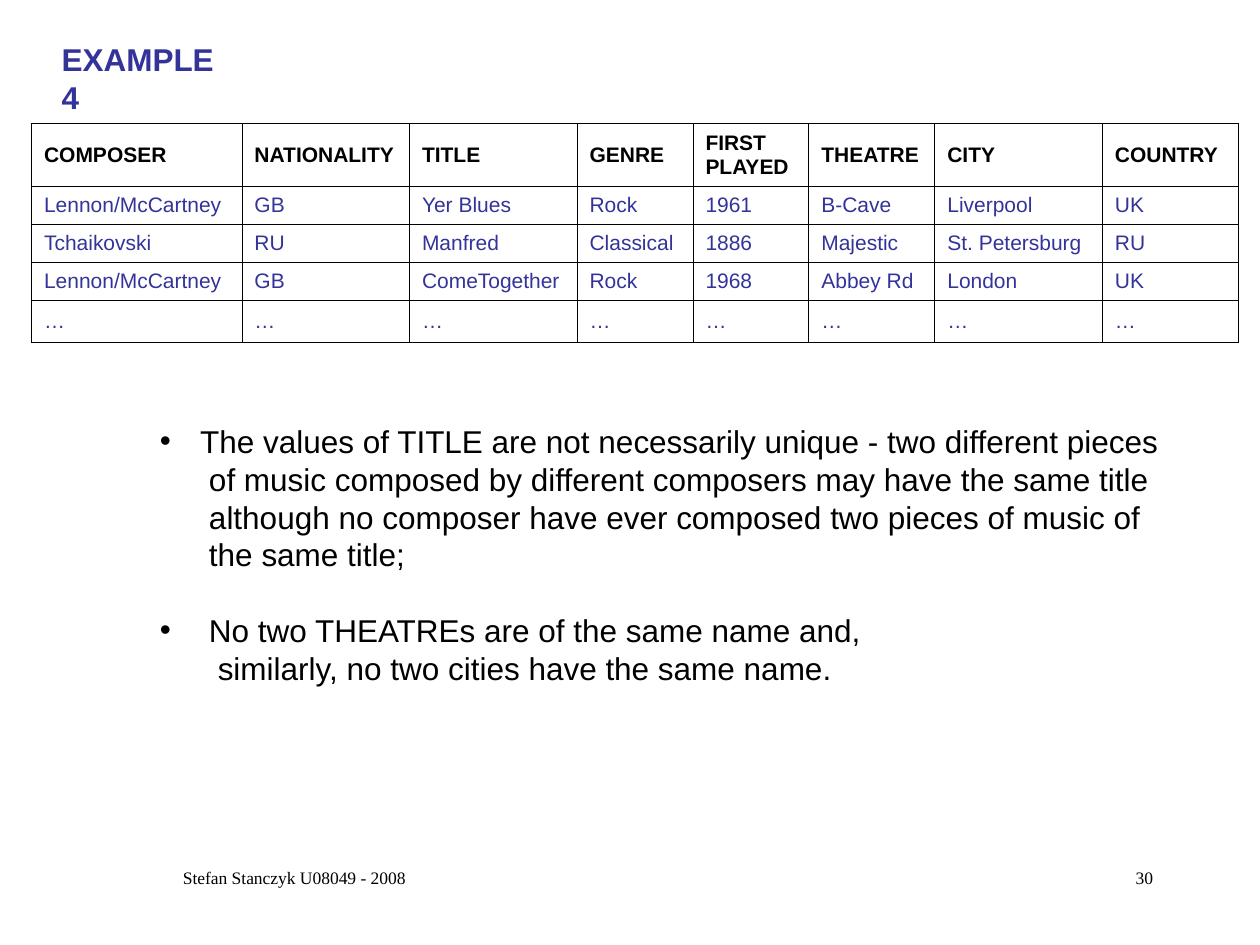
from pptx import Presentation
from pptx.dml.color import RGBColor
from pptx.enum.text import MSO_ANCHOR, PP_ALIGN
from pptx.oxml import parse_xml
from pptx.oxml.ns import nsdecls
from pptx.util import Inches, Pt

COLORS = {"ink": "000000", "accent": "333399", "paper": "FFFFFF"}
COLUMN_WIDTHS = [1.67, 1.33, 1.33, 0.92, 0.92, 1, 1.33, 1.08]
ROW_HEIGHTS = [0.5, 0.3, 0.3, 0.3, 0.34]
PERFORMANCES = [
    ["COMPOSER", "NATIONALITY", "TITLE", "GENRE", "FIRST PLAYED", "THEATRE", "CITY", "COUNTRY"],
    ["Lennon/McCartney", "GB", "Yer Blues", "Rock", "1961", "B-Cave", "Liverpool", "UK"],
    ["Tchaikovski", "RU", "Manfred", "Classical", "1886", "Majestic", "St. Petersburg", "RU"],
    ["Lennon/McCartney", "GB", "ComeTogether", "Rock", "1968", "Abbey Rd", "London", "UK"],
    ["…"] * 8,
]
BULLET_EDGE = 0.75
REMARKS = [
    (True, 1.07, "The values of TITLE are not necessarily unique - two different pieces"),
    (False, 1.14, "of music composed by different composers may have the same title"),
    (False, 1.14, "although no composer have ever composed two pieces of music of"),
    (False, 1.14, "the same title;"),
    (True, 1.14, "No two THEATREs are of the same name and,"),
    (False, 1.21, "similarly, no two cities have the same name."),
]


class SlideBuilder:
    """Holds the style and the current slide, and adds elements to it."""

    def __init__(self, page, font="Arial", line_height=21.6):
        self.page = page
        self.font = font
        self.line_height = Pt(line_height)
        page.background.fill.solid()
        page.background.fill.fore_color.rgb = RGBColor.from_string(COLORS["paper"])

    def style(self, paragraph, size, color="ink", bold=False, font=None):
        paragraph.font.name = font or self.font
        paragraph.font.size = Pt(size)
        paragraph.font.bold = bold
        paragraph.font.color.rgb = RGBColor.from_string(COLORS[color])

    def frame(self, left, top, width, height, wrap=True):
        box = self.page.shapes.add_textbox(
            Inches(left), Inches(top), Inches(width), Inches(height))
        box.text_frame.word_wrap = wrap
        return box.text_frame

    def text(self, text, bounds, size, align=PP_ALIGN.LEFT, wrap=True, **style):
        paragraph = self.frame(*bounds, wrap=wrap).paragraphs[0]
        paragraph.text = text
        paragraph.alignment = align
        self.style(paragraph, size, **style)

    def remarks(self, lines, bounds):
        frame = self.frame(*bounds)
        frame.margin_top = Inches(0.35)
        for index, (bulleted, indent, text) in enumerate(lines):
            paragraph = frame.paragraphs[0] if index == 0 else frame.add_paragraph()
            paragraph.text = text
            paragraph.line_spacing = self.line_height
            if bulleted and index:
                paragraph.space_before = self.line_height
            properties = paragraph._p.get_or_add_pPr()
            properties.set("marL", str(Inches(indent)))
            properties.set("indent", str(Inches(BULLET_EDGE - indent) if bulleted else 0))
            if bulleted:
                properties.append(parse_xml(f'<a:buFont {nsdecls("a")} typeface="{self.font}"/>'))
                properties.append(parse_xml(f'<a:buChar {nsdecls("a")} char="•"/>'))
            self.style(paragraph, 18)

    def borders(self, cell):
        properties = cell._tc.get_or_add_tcPr()
        for index, side in enumerate(("lnL", "lnR", "lnT", "lnB")):
            properties.insert(index, parse_xml(
                f'<a:{side} {nsdecls("a")} w="{Pt(0.45)}"><a:solidFill>'
                f'<a:srgbClr val="{COLORS["ink"]}"/></a:solidFill></a:{side}>'))

    def table(self, rows, left, top):
        table = self.page.shapes.add_table(
            len(rows), len(rows[0]), Inches(left), Inches(top),
            Inches(sum(COLUMN_WIDTHS)), Inches(sum(ROW_HEIGHTS))).table
        table.horz_banding = False
        for column, width in zip(table.columns, COLUMN_WIDTHS):
            column.width = Inches(width)
        for row_index, (row, values) in enumerate(zip(table.rows, rows)):
            row.height = Inches(ROW_HEIGHTS[row_index])
            header = row_index == 0
            for cell, value in zip(row.cells, values):
                cell.text = value
                cell.vertical_anchor = MSO_ANCHOR.MIDDLE
                cell.fill.background()
                self.borders(cell)
                self.style(cell.text_frame.paragraphs[0], 12,
                           "ink" if header else "accent", bold=header)


def main():
    deck = Presentation()
    deck.slide_width, deck.slide_height = Inches(10), Inches(7.5)
    builder = SlideBuilder(deck.slides.add_slide(deck.slide_layouts[6]))
    builder.table(PERFORMANCES, 0.25, 0.98)
    builder.remarks(REMARKS, (0.42, 3, 9.08, 2.8))
    builder.text("EXAMPLE 4", (0.39, 0.27, 1.61, 0.4), 18,
                 wrap=False, color="accent", bold=True)
    builder.text("Stefan Stanczyk U08049 - 2008", (0.75, 6.83, 3.17, 0.5), 10,
                 PP_ALIGN.CENTER, font="Times New Roman")
    builder.text("30", (7.17, 6.83, 2.08, 0.5), 10,
                 PP_ALIGN.RIGHT, font="Times New Roman")
    deck.save("out.pptx")


if __name__ == "__main__":
    main()
